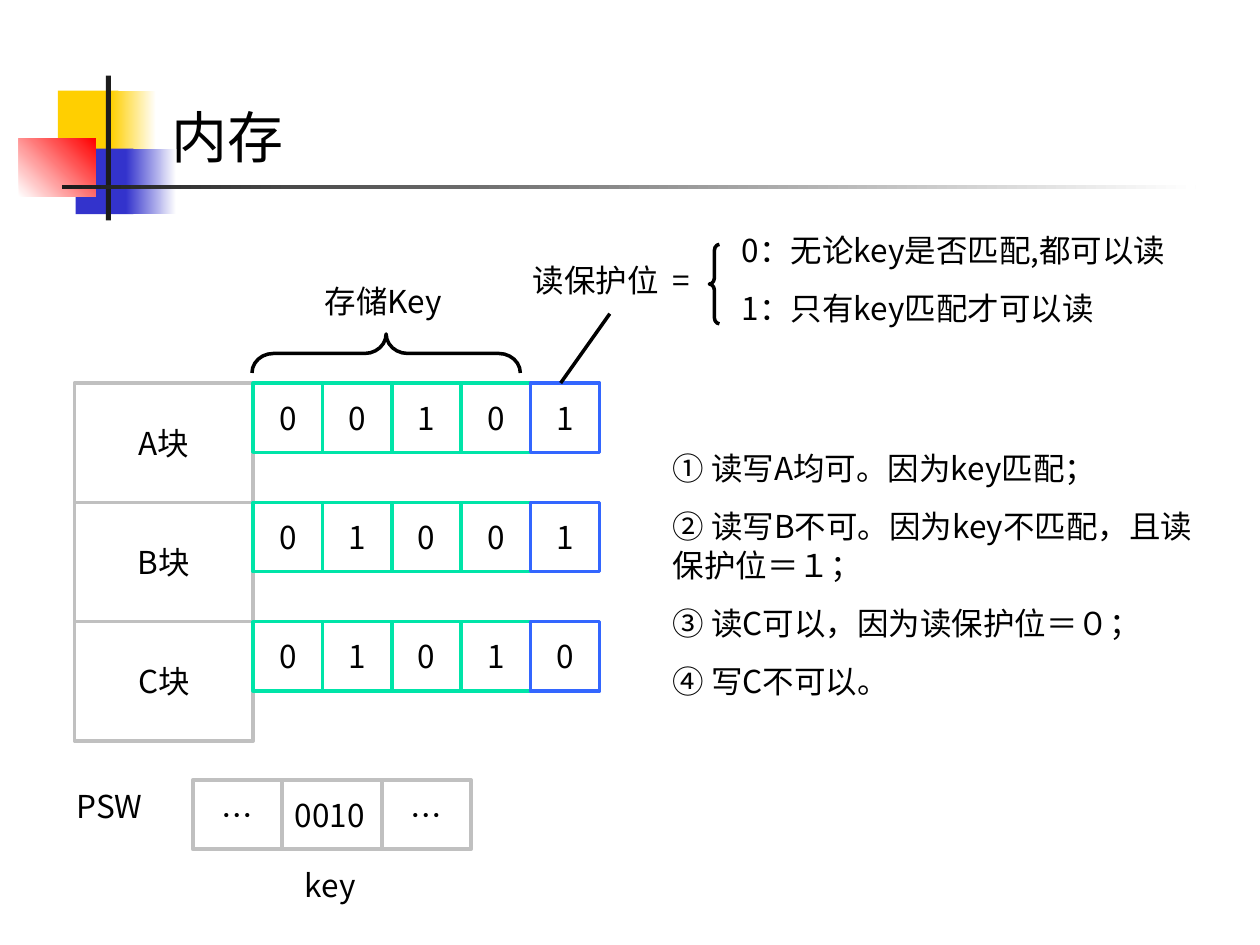
import pptx
import pptx.dml.color
import pptx.enum.shapes
import pptx.enum.text
import pptx.oxml
import pptx.oxml.ns
import pptx.util

Inches = pptx.util.Inches
Pt = pptx.util.Pt
SHAPES = pptx.enum.shapes.MSO_SHAPE
ALIGN = pptx.enum.text.PP_ALIGN
ANCHOR = pptx.enum.text.MSO_ANCHOR

COLORS = {
    "text": "000000", "white": "FFFFFF", "gray": "C0C0C0",
    "green": "00E4A8", "blue": "3366FF", "yellow": "FFCF01",
    "indigo": "3333CC", "red": "FF0000", "dark": "1C1C1C",
}
BODY_FONT = "Noto Sans CJK SC"
TITLE_FONT = "Noto Sans CJK JP"
BLOCKS = [("A块", "00101"), ("B块", "01001"), ("C块", "01010")]


def color(name):
    """Return the named colour."""
    return pptx.dml.color.RGBColor.from_string(COLORS[name])


def write(shape, text, size=18, font=BODY_FONT, align=ALIGN.LEFT,
          anchor=ANCHOR.TOP, wrap=True, leading=None, gap=0):
    """Write one paragraph per line of text into a shape."""
    frame = shape.text_frame
    frame.text = text
    frame.word_wrap = wrap
    frame.auto_size = pptx.enum.text.MSO_AUTO_SIZE.NONE
    frame.vertical_anchor = anchor
    for index, para in enumerate(frame.paragraphs):
        para.alignment = align
        para.space_before = Pt(gap if index else 0)
        if leading:
            para.line_spacing = Pt(leading)
        for span in para.runs:
            span.font.name = font
            span.font.size = Pt(size)
            span.font.color.rgb = color("text")
            east_asian = pptx.oxml.parse_xml(
                f'<a:ea {pptx.oxml.ns.nsdecls("a")} typeface="{font}"/>')
            span.font._element.find(
                pptx.oxml.ns.qn("a:latin")).addnext(east_asian)


def add_label(page, box, text):
    """Add a text box with body text."""
    label = page.shapes.add_textbox(*map(Inches, box))
    write(label, text, leading=22, gap=11.2)


def add_cell(page, box, text, line, align=ALIGN.CENTER):
    """Add an outlined cell with text."""
    cell = page.shapes.add_shape(SHAPES.RECTANGLE, *map(Inches, box))
    cell.shadow.inherit = False
    cell.fill.background()
    cell.line.color.rgb = color(line)
    cell.line.width = Pt(2)
    write(cell, text, align=align, anchor=ANCHOR.MIDDLE, wrap=False)


def add_panel(page, box, start, end=None, angle=0):
    """Add a borderless rectangle with a solid or gradient fill."""
    panel = page.shapes.add_shape(SHAPES.RECTANGLE, *map(Inches, box))
    panel.shadow.inherit = False
    panel.line.fill.background()
    if end is None:
        panel.fill.solid()
        panel.fill.fore_color.rgb = color(start)
        return
    panel.fill.gradient()
    panel.fill.gradient_angle = angle
    for stop, name in zip(panel.fill.gradient_stops, (start, end)):
        stop.color.rgb = color(name)


def add_brace(page, kind, box, curve, rotation=0):
    """Add a curly brace."""
    brace = page.shapes.add_shape(kind, *map(Inches, box))
    brace.shadow.inherit = False
    brace.fill.background()
    brace.line.color.rgb = color("text")
    brace.line.width = Pt(2)
    brace.adjustments[0] = curve
    brace.rotation = rotation


def add_pointer(page, start, end):
    """Add a straight line between two points."""
    pointer = page.shapes.add_connector(
        pptx.enum.shapes.MSO_CONNECTOR.STRAIGHT, *map(Inches, start + end))
    pointer.line.color.rgb = color("text")
    pointer.line.width = Pt(2)
    pointer._element.spPr.append(pptx.oxml.parse_xml(
        f'<a:effectLst {pptx.oxml.ns.nsdecls("a")}/>'))


def add_ornament(page, box):
    """Draw the coloured squares and crossing rules of the header."""
    left, top, width, height = box
    add_panel(page, (left + 0.31, top + 0.12, 0.48, 0.52), "yellow")
    add_panel(page, (left + 0.73, top + 0.12, 0.36, 0.52), "yellow", "white")
    add_panel(page, (left + 0.45, top + 0.58, 0.46, 0.52), "indigo")
    add_panel(page, (left + 0.85, top + 0.58, 0.4, 0.52), "indigo", "white")
    add_panel(page, (left, top + 0.5, 0.61, 0.46), "white", "red", angle=45)
    add_panel(page, (left + 0.69, top, 0.04, height), "dark")
    add_panel(page, (left + 0.34, top + 0.87, width - 0.34, 0.03),
              "dark", "white")


def add_title(page, box, text):
    """Place and format the title placeholder."""
    title = page.shapes.title
    title.left, title.top, title.width, title.height = map(Inches, box)
    write(title, text, size=32, font=TITLE_FONT, anchor=ANCHOR.MIDDLE)


def add_memory(page, box):
    """Draw the memory blocks with their key bits and protection bit."""
    left, top, width, height = box
    block_width, bit = 1.42, (width - 1.42) / 5
    row_height = height / len(BLOCKS)
    for row, (name, bits) in enumerate(BLOCKS):
        row_top = top + row * row_height
        add_cell(page, (left, row_top, block_width, row_height), name, "gray")
        for column, value in enumerate(bits):
            add_cell(page, (left + block_width + column * bit, row_top, bit, bit),
                     value, "green" if column < 4 else "blue")


def add_annotations(page, box):
    """Explain the storage key and the read protection bit."""
    left, top, width, height = box
    add_label(page, (left + 0.47, top + 0.4, 1.73, 0.4), "存储Key")
    add_brace(page, SHAPES.RIGHT_BRACE, (left + 0.9, top - 0.04, 0.31, 2.13),
              curve=0.55, rotation=270)
    add_label(page, (left + 2.12, top + 0.24, 1.65, 0.4), "读保护位")
    add_label(page, (left + 3.23, top + 0.24, 0.55, 0.4), "=")
    add_brace(page, SHAPES.LEFT_BRACE, (left + 3.62, top + 0.16, 0.08, 0.63),
              curve=0.6)
    add_label(page, (left + 3.78, top, width - 3.78, 0.86),
              "0：无论key是否匹配,都可以读\n1：只有key匹配才可以读")
    add_pointer(page, (left + 2.83, top + 0.71), (left + 2.44, top + height))


def add_status_word(page, box):
    """Draw the status word register and its key field."""
    left, top, width, height = box
    add_label(page, (left, top, 0.94, 0.4), "PSW")
    side, middle = 0.71, 0.79
    first = left + width - 2 * side - middle
    add_cell(page, (first, top, side, 0.55), "…", "gray")
    add_cell(page, (first + side, top, middle, 0.55), "0010", "gray", ALIGN.LEFT)
    add_cell(page, (first + side + middle, top, side, 0.55), "…", "gray")
    add_label(page, (first + side + 0.08, top + height - 0.4, 1.02, 0.4), "key")


def main():
    """Build and save the deck."""
    deck = pptx.Presentation()
    deck.slide_width, deck.slide_height = Inches(10), Inches(7.5)
    page = deck.slides.add_slide(deck.slide_layouts.get_by_name("Title Only"))
    add_ornament(page, (0.15, 0.6, 9.34, 1.15))
    add_title(page, (1.26, 0.76, 8.74, 0.64), "内存")
    add_memory(page, (0.59, 3.04, 4.17, 2.84))
    add_annotations(page, (2.01, 1.78, 7.84, 1.26))
    add_status_word(page, (0.51, 6.19, 3.23, 1.03))
    add_label(page, (5.24, 3.51, 4.41, 2.07),
              "① 读写A均可。因为key匹配；\n"
              "② 读写B不可。因为key不匹配，且读保护位＝１；\n"
              "③ 读C可以，因为读保护位＝０；\n"
              "④ 写C不可以。")
    deck.save("out.pptx")


if __name__ == "__main__":
    main()
